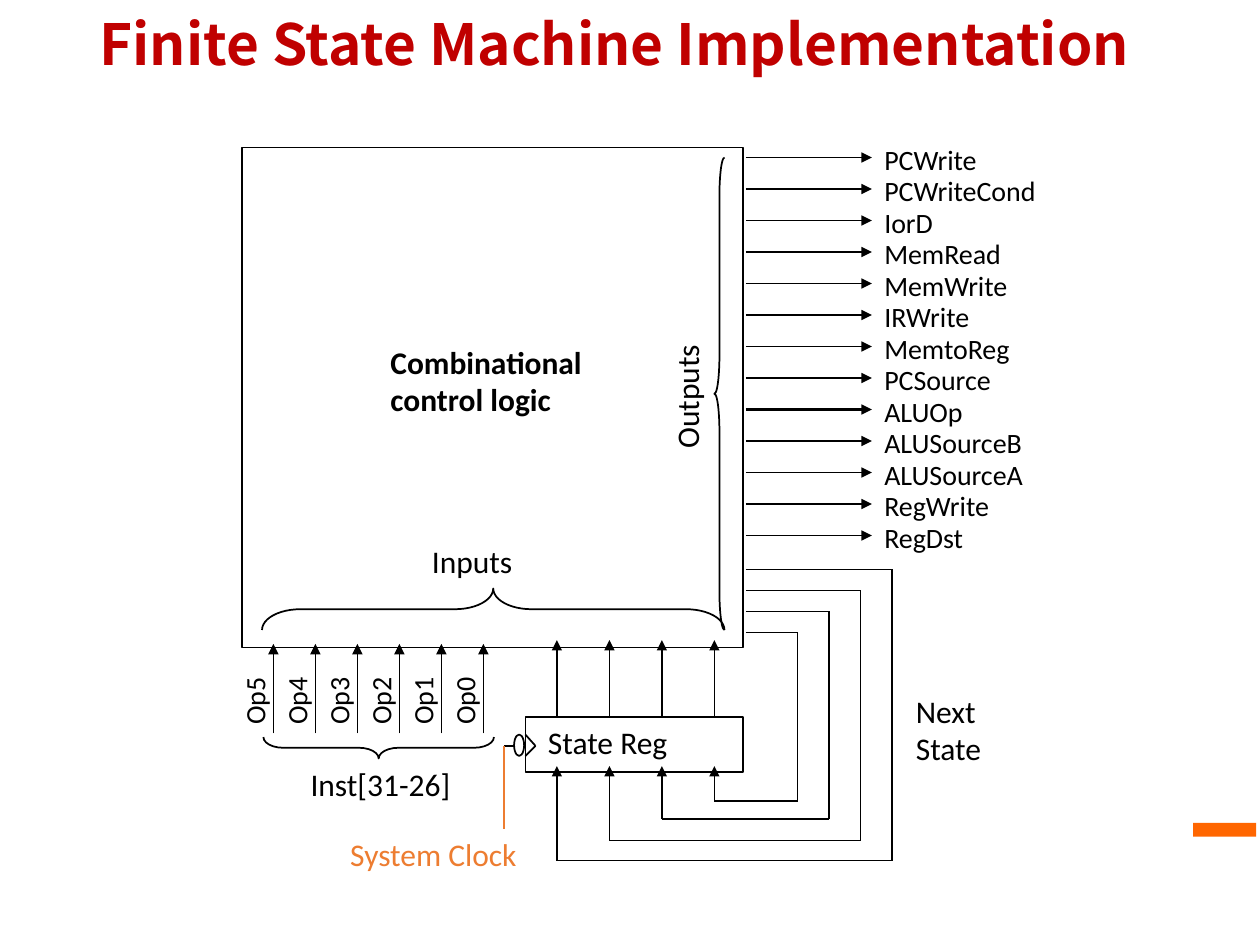
from pptx import Presentation
from pptx.dml.color import RGBColor
from pptx.enum.shapes import MSO_CONNECTOR, MSO_SHAPE
from pptx.enum.text import MSO_ANCHOR, PP_ALIGN
from pptx.oxml.ns import qn
from pptx.util import Inches, Pt
from lxml import etree

STRAIGHT = MSO_CONNECTOR.STRAIGHT
RECT, OVAL = MSO_SHAPE.RECTANGLE, MSO_SHAPE.OVAL
LEFT_BRACE, RIGHT_BRACE = MSO_SHAPE.LEFT_BRACE, MSO_SHAPE.RIGHT_BRACE
LEFT, CENTER = PP_ALIGN.LEFT, PP_ALIGN.CENTER
MIDDLE = MSO_ANCHOR.MIDDLE

COLORS = {"title": "C00000", "ink": "000000", "clock": "ED7D31", "bar": "FF6600"}
TITLE_FONT, BODY_FONT = "Noto Sans CJK SC", "Calibri"

# Content
TITLE = "Finite State Machine Implementation"
OUTPUTS = ["PCWrite", "PCWriteCond", "IorD", "MemRead", "MemWrite", "IRWrite",
           "MemtoReg", "PCSource", "ALUOp", "ALUSourceB", "ALUSourceA",
           "RegWrite", "RegDst"]
WIDE_OUTPUTS = {"PCSource", "ALUOp", "ALUSourceB"}
OPCODE_BITS = ["Op5", "Op4", "Op3", "Op2", "Op1", "Op0"]
STATE_BITS = 4
# text, (left, top, width, height), bold, alignment, rotation, colour
LABELS = [
    ("Combinational\ncontrol logic", (3, 2.67, 1.94, 0.7), True, LEFT, 0, "ink"),
    ("State Reg", (4.25, 5.69, 1.31, 0.4), False, LEFT, 0, "ink"),
    ("Inst[31-26]", (2.33, 6.02, 1.38, 0.4), False, CENTER, 0, "ink"),
    ("Next\nState", (7.17, 5.44, 0.78, 0.7), False, LEFT, 0, "ink"),
    ("Inputs", (3.33, 4.25, 0.88, 0.4), False, LEFT, 0, "ink"),
    ("Outputs", (4.91, 2.92, 1.08, 0.4), False, LEFT, 270, "ink"),
    ("System Clock", (2.38, 6.58, 2.12, 0.4), False, CENTER, 0, "clock"),
]
# preset, frame, rotation, adjustments
OUTLINES = [
    (RECT, (1.92, 1.17, 3.98, 3.97), 0, ()),            # control logic
    (RECT, (4.17, 5.69, 1.73, 0.44), 0, ()),            # state register
    (RIGHT_BRACE, (2.92, 5.02, 0.17, 1.83), 90, (0.92, 0.5)),
    (RIGHT_BRACE, (3.75, 3, 0.33, 3.67), 270, (0.92, 0.5)),
    (LEFT_BRACE, (5.67, 1.25, 0.08, 3.75), 0, (3.75, 0.5)),
    (OVAL, (4.08, 5.83, 0.08, 0.17), 0, ()),            # clock inversion
]
CLOCK_LINES = [
    ((4.17, 5.83), (4.25, 5.92), "ink"),
    ((4.25, 5.92), (4.17, 6), "ink"),
    ((4, 5.92), (4.08, 5.92), "ink"),
    ((4, 5.92), (4, 6.58), "clock"),
]
LOGIC_EDGE = 5.92
LOOP_BOTTOMS = [6.83, 6.67, 6.5, 6.36]


def rgb(name):
    return RGBColor.from_string(COLORS[name])


def frame(box):
    return [Inches(value) for value in box]


def style_text(shape, text, size, font, color, bold=False, align=LEFT):
    shape.text_frame.text = text
    for para in shape.text_frame.paragraphs:
        para.alignment = align
        for span in para.runs:
            span.font.size = Pt(size)
            span.font.name = font
            span.font.bold = bold
            span.font.color.rgb = rgb(color)


def add_label(page, text, box, size=18, bold=False, align=LEFT, rotation=0, color="ink"):
    label = page.shapes.add_textbox(*frame(box))
    label.rotation = rotation
    label.text_frame.word_wrap = True
    style_text(label, text, size, BODY_FONT, color, bold, align)


def add_outline(page, preset, box, rotation, adjustments):
    shape = page.shapes.add_shape(preset, *frame(box))
    shape.shadow.inherit = False
    shape.rotation = rotation
    for index, value in enumerate(adjustments):
        shape.adjustments[index] = value
    shape.fill.background()
    shape.line.color.rgb = rgb("ink")
    shape.line.width = Pt(1)


def add_line(page, start, end, color="ink", width=1, arrow=False):
    line = page.shapes.add_connector(STRAIGHT, *frame(start + end))
    line.line.color.rgb = rgb(color)
    line.line.width = Pt(width)
    if arrow:
        tip = etree.SubElement(line.line._get_or_add_ln(), qn("a:tailEnd"))
        tip.set("type", "triangle")
    etree.SubElement(line._element.spPr, qn("a:effectLst"))


def main():
    deck = Presentation()
    deck.slide_width, deck.slide_height = Inches(10), Inches(7.5)
    page = deck.slides.add_slide(deck.slide_layouts[5])

    # Accent bar and title
    bar = page.shapes.add_shape(RECT, *frame((9.47, 6.53, 0.5, 0.11)))
    bar.shadow.inherit = False
    bar.fill.solid()
    bar.fill.fore_color.rgb = rgb("bar")
    bar.line.fill.background()
    title = page.shapes.title
    title.left, title.top, title.width, title.height = frame((0.69, 0, 8.62, 0.75))
    title.text_frame.vertical_anchor = MIDDLE
    style_text(title, TITLE, 32.4, TITLE_FONT, "title", bold=True)
    title.text_frame.paragraphs[0].line_spacing = 0.9

    # Blocks, braces and their labels
    for outline in OUTLINES:
        add_outline(page, *outline)
    for text, box, bold, align, rotation, color in LABELS:
        add_label(page, text, box, 18, bold, align, rotation, color)

    # Control outputs
    for row, name in enumerate(OUTPUTS):
        y = 1.25 + row * 0.25
        width = 1.5 if name in WIDE_OUTPUTS else 1
        add_line(page, (LOGIC_EDGE, y), (6.92, y), width=width, arrow=True)
        add_label(page, name, (6.92, y - 0.17, 1.56, 0.37), 16)

    # Opcode inputs
    for column, name in enumerate(OPCODE_BITS):
        x = 2.17 + column / 3
        add_line(page, (x, 5.82), (x, 5.11), arrow=True)
        add_label(page, name, (x - 0.46, 5.38, 0.62, 0.37), 16, align=CENTER, rotation=270)

    # State bits: register to logic, and next state back to the register
    for bit in range(STATE_BITS):
        x = 4.42 + bit * 1.25 / 3
        right, top, bottom = 7.08 - bit * 0.25, 4.52 + bit / 6, LOOP_BOTTOMS[bit]
        add_line(page, (x, 5.69), (x, 5.08), arrow=True)
        add_line(page, (LOGIC_EDGE, top), (right, top))
        add_line(page, (right, top), (right, bottom))
        add_line(page, (right, bottom), (x, bottom))
        add_line(page, (x, bottom), (x, 6.08), arrow=True)

    # Clock input
    for start, end, color in CLOCK_LINES:
        add_line(page, start, end, color)

    deck.save("out.pptx")


if __name__ == "__main__":
    main()
